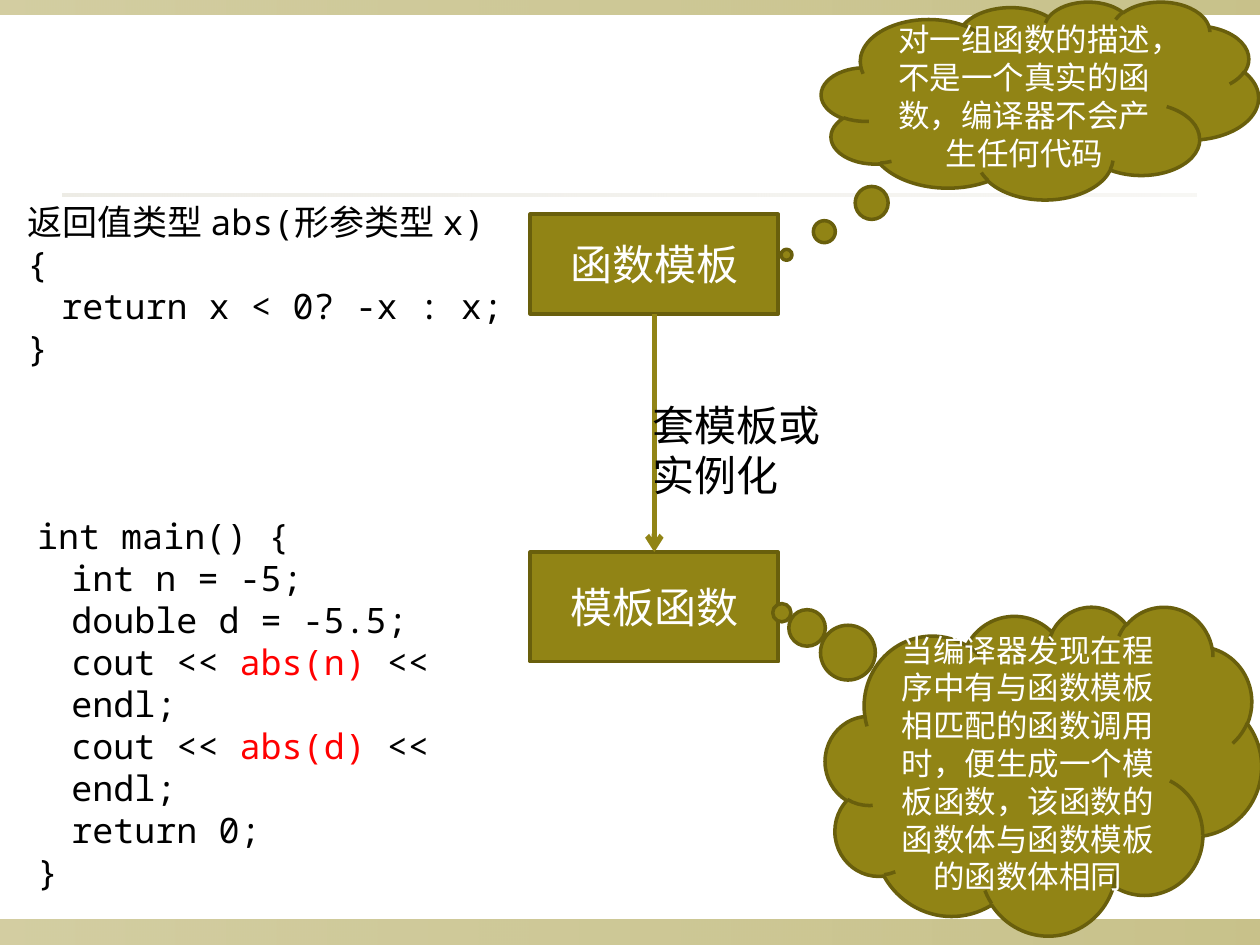
from lxml.etree import SubElement
from pptx import Presentation
from pptx.dml.color import RGBColor as RGB
from pptx.enum.shapes import MSO_CONNECTOR as CONN, MSO_SHAPE as SHAPE
from pptx.enum.text import MSO_ANCHOR as ANCHOR, MSO_AUTO_SIZE as FIT, PP_ALIGN as ALIGN
from pptx.oxml.ns import qn
from pptx.util import Cm, Inches, Pt

COLORS = {
    "olive": "918415",
    "edge": "695F0C",
    "rule": "DCD9CC",
    "text": "000000",
    "light": "FFFFFF",
    "call": "FF0000",
}
SANS, MONO = "Cabin", "Noto Sans Mono"

TEMPLATE_CODE = [
    "返回值类型 abs(形参类型 x)",
    "{",
    "\treturn x < 0? -x : x;",
    "}",
]
MAIN_CODE = [
    "int main() {",
    "\tint n = -5;",
    "\tdouble d = -5.5;",
    *[["\tcout << ", (f"abs({v})", "call"), " << endl;"] for v in "nd"],
    "\treturn 0;",
    "}",
]


def rgb(name):
    return RGB.from_string(COLORS[name])


def add_code_tabs(p):
    pPr = p._p.get_or_add_pPr()
    pPr.set("marL", str(Cm(0.99)))
    pPr.set("indent", str(Cm(-0.69)))
    tabs = SubElement(pPr, qn("a:tabLst"))
    for i in range(8):
        SubElement(tabs, qn("a:tab"), pos=str(Inches(i)), algn="l")


def write(sp, lines, size=24, font=SANS, color="text", align=ALIGN.LEFT,
          anchor=ANCHOR.TOP, code=False):
    tf = sp.text_frame
    tf.word_wrap = True
    tf.vertical_anchor = anchor
    for i, line in enumerate(lines):
        p = tf.add_paragraph() if i else tf.paragraphs[0]
        p.alignment = align
        if code:
            add_code_tabs(p)
        for piece in [line] if isinstance(line, str) else line:
            text, tint = (piece, color) if isinstance(piece, str) else piece
            r = p.add_run()
            r.text = text
            r.font.size = Pt(size)
            r.font.name = font
            r.font.color.rgb = rgb(tint)


class SlideBuilder:
    def __init__(self, slide, fill="olive", edge="edge"):
        self.shapes = slide.shapes
        self.fill = fill
        self.edge = edge

    def band(self, x, y, w, h, color, alphas):
        sp = self.shapes.add_shape(SHAPE.RECTANGLE, Cm(x), Cm(y), Cm(w), Cm(h))
        sp.shadow.inherit = False
        sp.line.fill.background()
        sp.fill.gradient()
        sp.fill.gradient_angle = 0
        for stop in sp.fill.gradient_stops:
            stop.color.rgb = rgb(color)
        for clr, alpha in zip(sp._element.spPr.iter(qn("a:srgbClr")), alphas):
            SubElement(clr, qn("a:alpha"), val=str(alpha * 1000))

    def shape(self, kind, x, y, w, h, text, size):
        sp = self.shapes.add_shape(kind, Cm(x), Cm(y), Cm(w), Cm(h))
        sp.shadow.inherit = False
        sp.fill.solid()
        sp.fill.fore_color.rgb = rgb(self.fill)
        sp.line.color.rgb = rgb(self.edge)
        sp.line.width = Pt(2)
        write(sp, [text], size=size, color="light", align=ALIGN.CENTER,
              anchor=ANCHOR.MIDDLE)
        return sp

    def box(self, y, h, text):
        return self.shape(SHAPE.RECTANGLE, 10.69, y, 5, h, text, 24)

    def cloud(self, x, y, w, h, text, tip):
        sp = self.shape(SHAPE.CLOUD_CALLOUT, x, y, w, h, text, 18)
        for i, value in enumerate(tip):
            sp.adjustments[i] = value

    def arrow(self, start, end):
        c = self.shapes.add_connector(CONN.STRAIGHT, 0, 0, 0, 0)
        c.begin_connect(start, 2)
        c.end_connect(end, 0)
        c.line.color.rgb = rgb(self.fill)
        c.line.width = Pt(3)
        SubElement(c.line._get_or_add_ln(), qn("a:tailEnd"), type="arrow")
        SubElement(c._element.spPr, qn("a:effectLst"))

    def text(self, x, y, w, h, lines, **fmt):
        sp = self.shapes.add_textbox(Cm(x), Cm(y), Cm(w), Cm(h))
        write(sp, lines, **fmt)
        sp.text_frame.auto_size = FIT.SHAPE_TO_FIT_TEXT

    def code(self, x, y, w, h, lines):
        self.text(x, y, w, h, lines, size=20, font=MONO, code=True)


def main():
    prs = Presentation()
    prs.slide_width, prs.slide_height = Cm(25.4), Cm(19.05)
    s = SlideBuilder(prs.slides.add_slide(prs.slide_layouts[6]))

    s.band(0, 18.54, 25.4, 0.51, "olive", (40, 50))
    s.band(0, 0, 25.4, 0.3, "olive", (40, 50))
    s.band(1.27, 3.91, 22.86, 0.05, "rule", (50, 20))

    template = s.box(4.32, 2.01, "函数模板")
    function = s.box(11.13, 2.21, "模板函数")
    s.arrow(template, function)
    s.text(12.9, 7.92, 4.01, 2.29, ["套模板或实例化"])

    s.cloud(16.56, 0.03, 8.81, 3.99,
            "对一组函数的描述，不是一个真实的函数，编译器不会产生任何代码",
            (-0.58, 0.78))
    s.code(0, 3.91, 10.69, 4.5, TEMPLATE_CODE)
    s.code(0.2, 10.24, 10.49, 7.87, MAIN_CODE)
    s.cloud(16.64, 12.22, 8.79, 6.63,
            "当编译器发现在程序中有与函数模板相匹配的函数调用时，"
            "便生成一个模板函数，该函数的函数体与函数模板的函数体相同",
            (-0.6, -0.48))

    prs.save("out.pptx")


if __name__ == "__main__":
    main()
